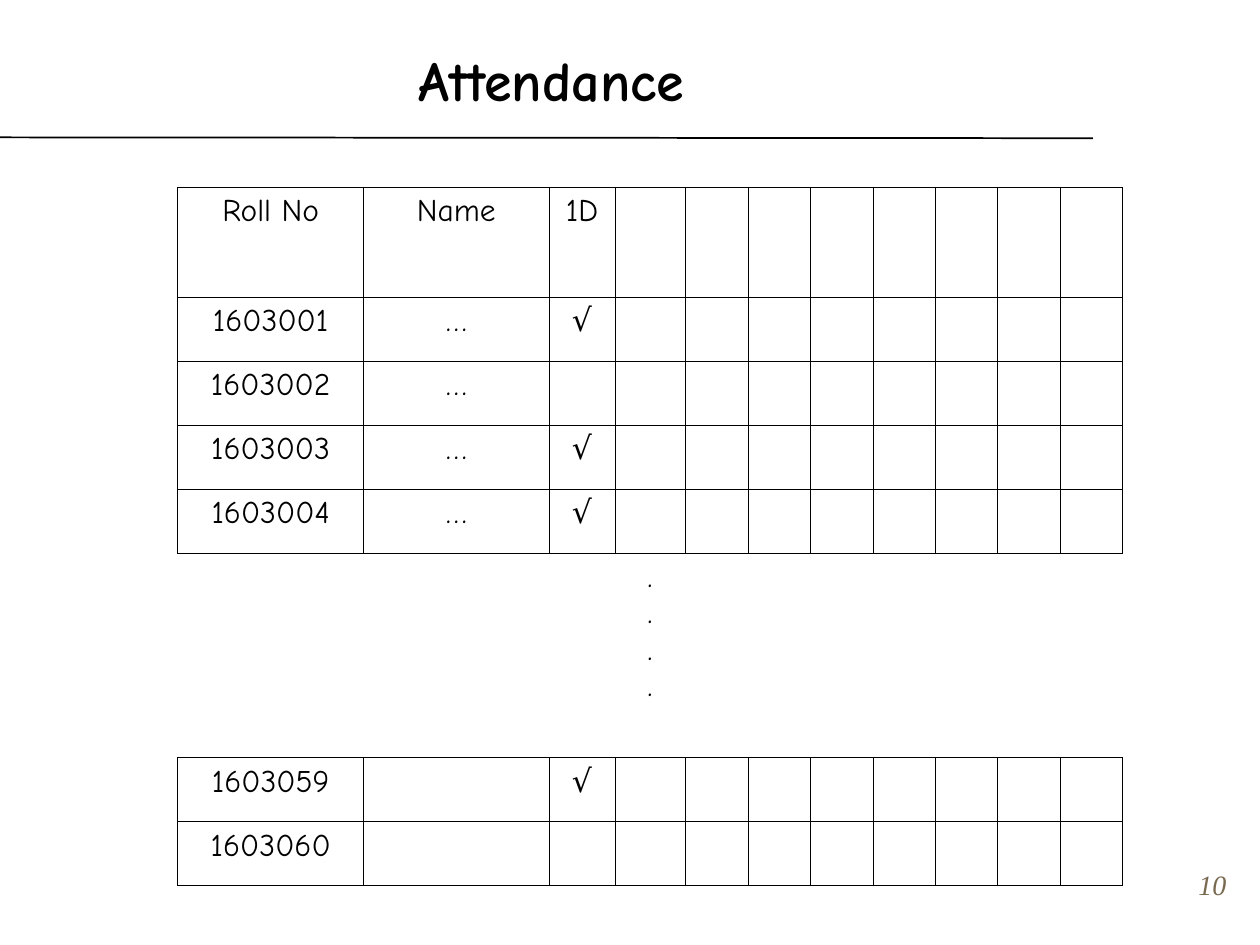
from dataclasses import dataclass

from lxml import etree
from pptx import Presentation
from pptx.dml.color import RGBColor
from pptx.enum.shapes import MSO_CONNECTOR
from pptx.enum.text import MSO_ANCHOR, PP_ALIGN
from pptx.oxml.ns import qn
from pptx.util import Pt

STRAIGHT = MSO_CONNECTOR.STRAIGHT
CENTER, RIGHT = PP_ALIGN.CENTER, PP_ALIGN.RIGHT
TOP, MIDDLE = MSO_ANCHOR.TOP, MSO_ANCHOR.MIDDLE
BLANK_LAYOUT = 6


@dataclass(frozen=True)
class Theme:
    ink: str = "000000"
    page_number: str = "786950"
    hand_font: str = "Comic Neue"
    number_font: str = "Times New Roman"
    title_size: float = 32
    body_size: float = 18
    number_size: float = 16
    rule_width: float = 1
    border_width: float = 0.45


THEME = Theme()

COLUMN_WIDTHS = [106.3, 106, 37.6, 40.5] + [35.66] * 7
HEADER_HEIGHT, ROW_HEIGHT, GAP_HEIGHT = 62.9, 36.55, 117.1
ROWS = [
    ("Roll No", "Name", "1D"),
    ("1603001", "…", "√"),
    ("1603002", "…", ""),
    ("1603003", "…", "√"),
    ("1603004", "…", "√"),
    (".\n.\n.\n.",),
    ("1603059", "", "√"),
    ("1603060", "", ""),
]
GAP_ROW = 5


def write_text(frame, text, font=THEME.hand_font, size=THEME.body_size,
               color=THEME.ink, bold=False, italic=False, align=CENTER):
    """Fill a text frame, one paragraph for each line of text."""
    frame.word_wrap = True
    frame.text = text
    for paragraph in frame.paragraphs:
        paragraph.alignment = align
        paragraph.font.size = Pt(size)
        for run in paragraph.runs:
            run.font.name = font
            run.font.size = Pt(size)
            run.font.bold = bold
            run.font.italic = italic
            run.font.color.rgb = RGBColor.from_string(color)


def add_text_box(slide, left, top, width, height, text, anchor=TOP, **text_format):
    box = slide.shapes.add_textbox(Pt(left), Pt(top), Pt(width), Pt(height))
    box.text_frame.vertical_anchor = anchor
    write_text(box.text_frame, text, **text_format)


def add_rule(slide, x1, y1, x2, y2):
    rule = slide.shapes.add_connector(STRAIGHT, Pt(x1), Pt(y1), Pt(x2), Pt(y2))
    rule.line.width = Pt(THEME.rule_width)
    rule.line.color.rgb = RGBColor.from_string(THEME.ink)
    etree.SubElement(rule._element.spPr, qn("a:effectLst"))


def set_borders(cell, drawn_sides):
    properties = cell._tc.get_or_add_tcPr()
    for side in "LRTB":
        border = etree.SubElement(properties, qn(f"a:ln{side}"),
                                  w=str(int(Pt(THEME.border_width))))
        if side in drawn_sides:
            fill = etree.SubElement(border, qn("a:solidFill"))
            etree.SubElement(fill, qn("a:srgbClr"), val=THEME.ink)
        else:
            etree.SubElement(border, qn("a:noFill"))


def add_attendance_table(slide, left, top):
    heights = [ROW_HEIGHT] * len(ROWS)
    heights[0], heights[GAP_ROW] = HEADER_HEIGHT, GAP_HEIGHT
    frame = slide.shapes.add_table(len(ROWS), len(COLUMN_WIDTHS), Pt(left), Pt(top),
                                   Pt(sum(COLUMN_WIDTHS)), Pt(sum(heights)))
    table = frame.table
    table.first_row = table.horz_banding = False
    for column, width in zip(table.columns, COLUMN_WIDTHS):
        column.width = Pt(width)
    for row, height in zip(table.rows, heights):
        row.height = Pt(height)
    table.cell(GAP_ROW, 0).merge(table.cell(GAP_ROW, len(COLUMN_WIDTHS) - 1))

    for row_index, values in enumerate(ROWS):
        sides = "TB" if row_index == GAP_ROW else "LRTB"
        for column_index, cell in enumerate(table.rows[row_index].cells):
            set_borders(cell, sides)
            cell.fill.background()
            if column_index < len(values):
                write_text(cell.text_frame, values[column_index])


def main():
    presentation = Presentation()
    presentation.slide_width, presentation.slide_height = Pt(720), Pt(540)
    slide = presentation.slides.add_slide(presentation.slide_layouts[BLANK_LAYOUT])

    add_rule(slide, 0, 78.5, 624.5, 79)
    add_text_box(slide, 5.8, 11.5, 618.5, 67.7, "Attendance", anchor=MIDDLE,
                 size=THEME.title_size, bold=True)
    add_text_box(slide, 558, 492, 149.8, 25, "10", font=THEME.number_font,
                 size=THEME.number_size, color=THEME.page_number, italic=True,
                 align=RIGHT)
    add_attendance_table(slide, 101.5, 106.9)

    presentation.save("out.pptx")


if __name__ == "__main__":
    main()
